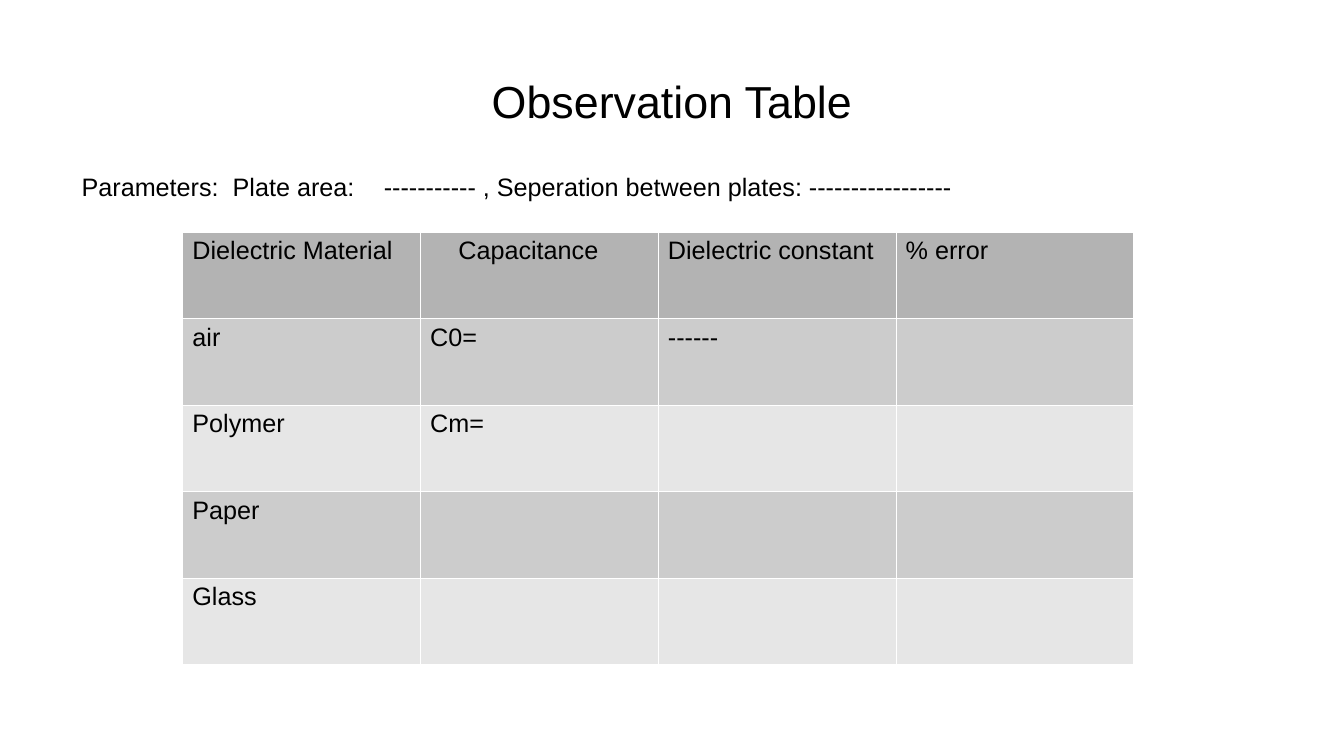
from dataclasses import dataclass

from lxml import etree
from pptx import Presentation
from pptx import util as u
from pptx.dml.color import RGBColor
from pptx.enum import text
from pptx.oxml import ns

WIDTH, HEIGHT = 13.34, 7.5
FONT = "Arial"
COLOURS = {"ink": "000000", "rule": "FFFFFF", "header": "B3B3B3",
           "dark band": "CCCCCC", "light band": "E6E6E6"}


@dataclass(frozen=True)
class Area:
    """A rectangle in shares of the slide's width and height."""
    left: float
    top: float
    width: float
    height: float

    def emu(self) -> tuple[int, int, int, int]:
        return (u.Inches(self.left * WIDTH), u.Inches(self.top * HEIGHT),
                u.Inches(self.width * WIDTH), u.Inches(self.height * HEIGHT))


@dataclass(frozen=True)
class TableRow:
    fill: str
    cells: tuple[str, ...]


TITLE_AREA = Area(0.67 / WIDTH, 0.31 / HEIGHT, 12 / WIDTH, 1.38 / HEIGHT)
PARAMETERS_AREA = Area(0.71 / WIDTH, 1.65 / HEIGHT, 12.36 / WIDTH, 0.66 / HEIGHT)
TABLE_AREA = Area(1.81 / WIDTH, 2.3 / HEIGHT, 9.44 / WIDTH, 4.29 / HEIGHT)

PARAMETERS = "Parameters:\tPlate area:\t----------- , Seperation between plates: -----------------"
PARAMETER_TABS = (1.5, 2.92)
CAPACITANCE_INDENT = 0.28
ROWS = (
    TableRow("header", ("Dielectric Material", "Capacitance", "Dielectric constant", "% error")),
    TableRow("dark band", ("air", "C0=", "------", "")),
    TableRow("light band", ("Polymer", "Cm=", "", "")),
    TableRow("dark band", ("Paper", "", "", "")),
    TableRow("light band", ("Glass", "", "", "")),
)


def colour(name: str) -> RGBColor:
    return RGBColor.from_string(COLOURS[name])


def add_span(para, words: str, size: float) -> None:
    span = para.add_run()
    span.text = words
    span.font.size = u.Pt(size)
    span.font.name = FONT
    span.font.color.rgb = colour("ink")


def set_indent(para, inches: float) -> None:
    properties = para._p.get_or_add_pPr()
    properties.set("marL", str(u.Inches(inches)))
    properties.set("indent", "0")


def fill_placeholder(box, area: Area, words: str, size: float, anchor, align, inset):
    box.left, box.top, box.width, box.height = area.emu()
    frame = box.text_frame
    frame.word_wrap = True
    frame.auto_size = text.MSO_AUTO_SIZE.NONE
    frame.vertical_anchor = anchor
    frame.margin_left = frame.margin_right = u.Inches(inset[0])
    frame.margin_top = frame.margin_bottom = u.Inches(inset[1])
    para = frame.paragraphs[0]
    para.alignment = align
    para.space_before = u.Pt(0)
    add_span(para, words, size)
    return para


def add_borders(cell) -> None:
    properties = cell._tc.get_or_add_tcPr()
    for position, side in enumerate(("lnL", "lnR", "lnT", "lnB")):
        line = etree.Element(ns.qn(f"a:{side}"), w=str(u.Pt(0.06)))
        fill = etree.SubElement(line, ns.qn("a:solidFill"))
        etree.SubElement(fill, ns.qn("a:srgbClr"), val=COLOURS["rule"])
        properties.insert(position, line)


def add_observation_table(page) -> None:
    table = page.shapes.add_table(len(ROWS), len(ROWS[0].cells), *TABLE_AREA.emu()).table
    table.first_row = table.horz_banding = False
    for row_index, row in enumerate(ROWS):
        for column, words in enumerate(row.cells):
            cell = table.cell(row_index, column)
            cell.fill.solid()
            cell.fill.fore_color.rgb = colour(row.fill)
            add_borders(cell)
            para = cell.text_frame.paragraphs[0]
            if words:
                add_span(para, words, 18)
            if words == "Capacitance":
                set_indent(para, CAPACITANCE_INDENT)


def main() -> None:
    deck = Presentation()
    deck.slide_width, deck.slide_height = u.Inches(WIDTH), u.Inches(HEIGHT)
    page = deck.slides.add_slide(deck.slide_layouts[1])

    # Title
    fill_placeholder(page.shapes.title, TITLE_AREA, "Observation Table", 32,
                     text.MSO_ANCHOR.MIDDLE, text.PP_ALIGN.CENTER, (0, 0))

    # Table of materials
    add_observation_table(page)

    # Line of parameters, without a bullet and with its own tab stops
    para = fill_placeholder(page.placeholders[1], PARAMETERS_AREA, PARAMETERS, 18,
                            text.MSO_ANCHOR.TOP, text.PP_ALIGN.LEFT, (0.1, 0.05))
    set_indent(para, 0)
    properties = para._p.get_or_add_pPr()
    etree.SubElement(properties, ns.qn("a:buNone"))
    tabs = etree.SubElement(properties, ns.qn("a:tabLst"))
    for stop in PARAMETER_TABS:
        etree.SubElement(tabs, ns.qn("a:tab"), pos=str(u.Inches(stop)), algn="l")

    deck.save("out.pptx")


if __name__ == "__main__":
    main()
